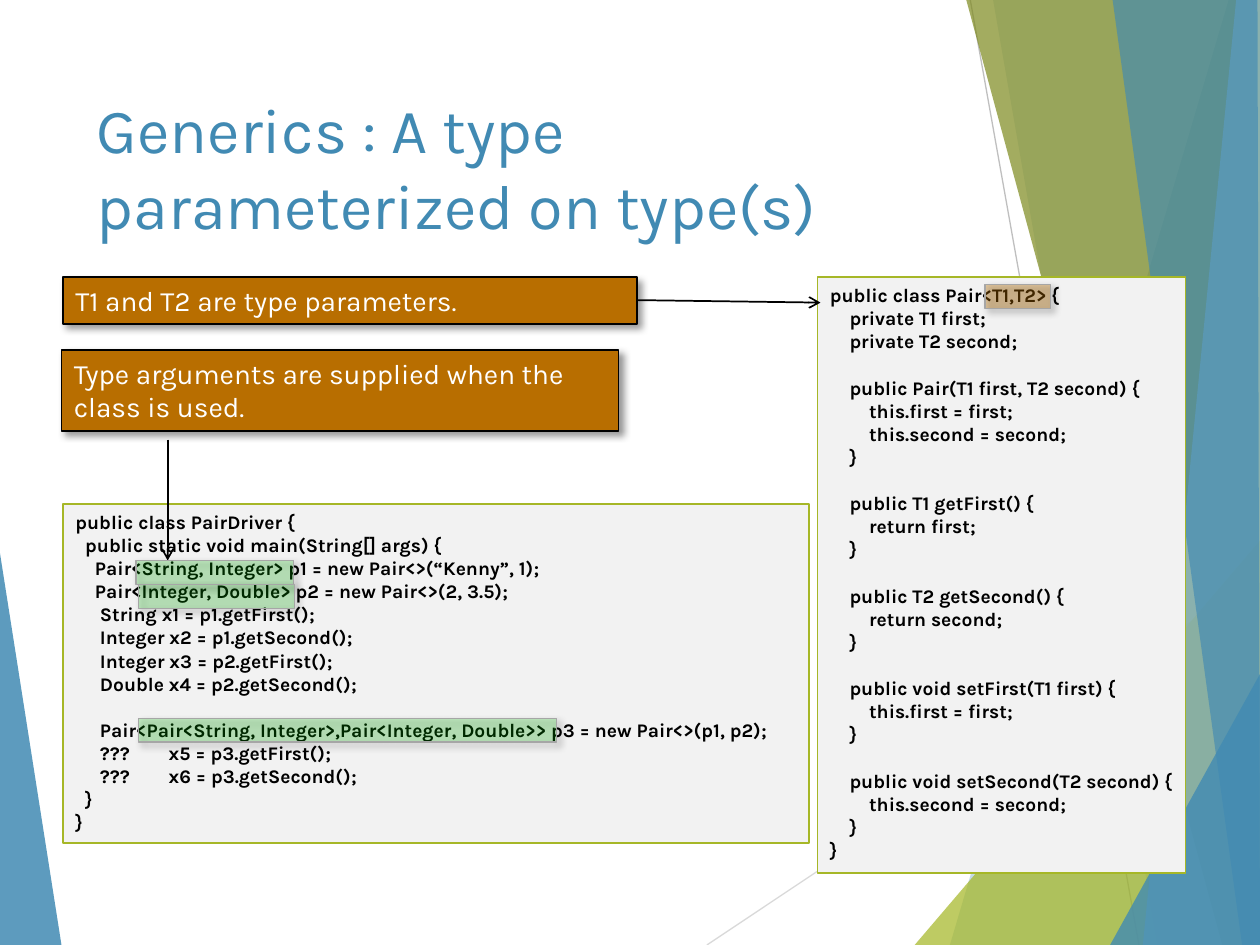
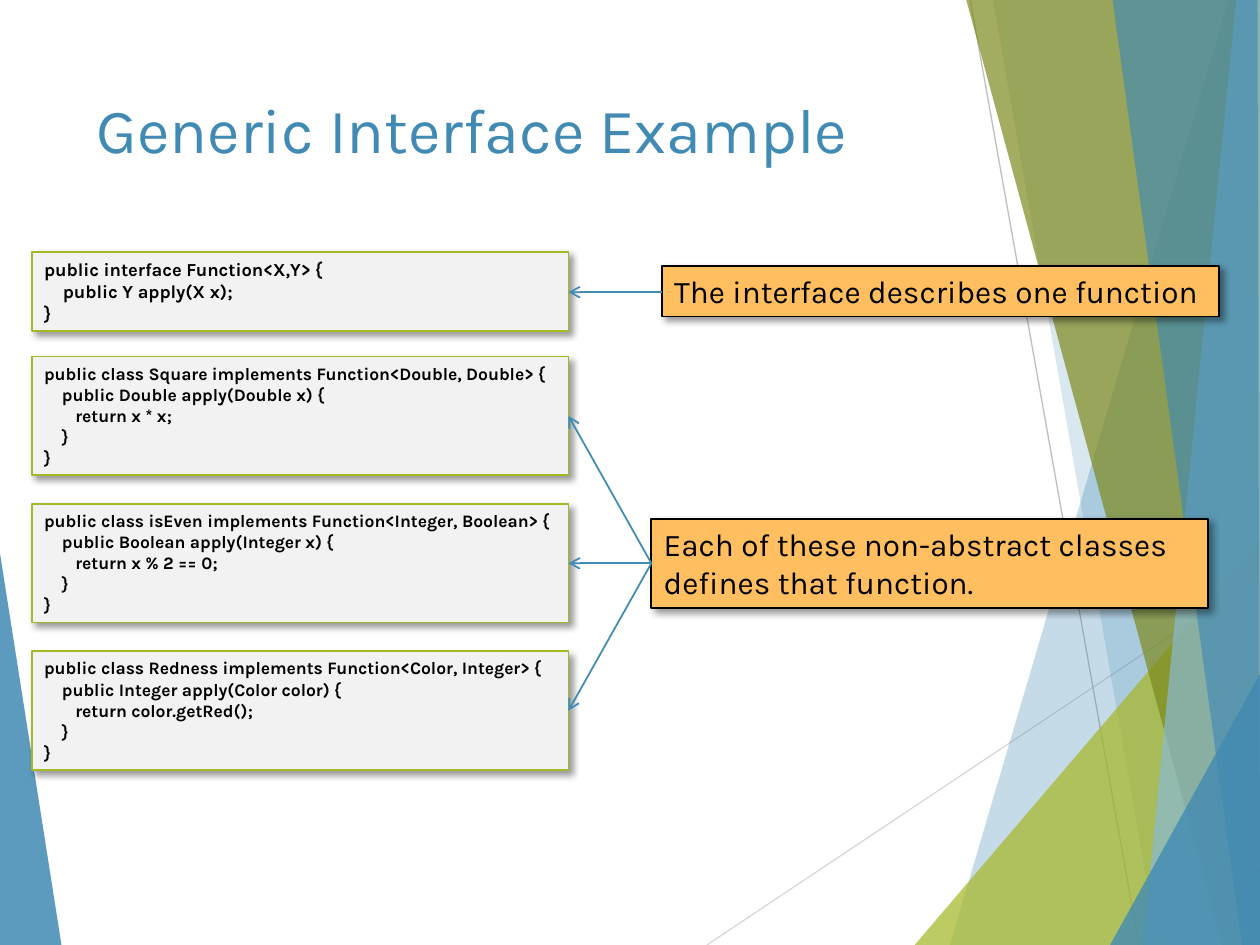
from lxml.etree import SubElement
from pptx import Presentation
from pptx.dml.color import RGBColor
from pptx.enum.shapes import MSO_CONNECTOR as Connector, MSO_SHAPE as Preset
from pptx.enum.text import MSO_ANCHOR as Anchor, PP_ALIGN as Align
from pptx.oxml.ns import qn
from pptx.util import Cm, Pt

FONT = "Karla"
BLUE, GREEN, OLIVE, SKY = "418AB3", "A6B727", "7D891D", "8ABAD4"
BLACK, WHITE, PANEL, GRAY = "000000", "FFFFFF", "F2F2F2", "A6A6A6"
BROWN, ORANGE, LIME = "B86E00", "FFBF61", "00CC00"
WIDTH, HEIGHT = 25.4, 19.05
TITLE_BOX = (1.7, 1.7, 17.63, 3.66)
SPACE_EM, LINE_EM, TAB_COLUMN = 0.255, 1.2, 19

TOP_RIGHT, BOTTOM_RIGHT = (WIDTH, 0), (WIDTH, HEIGHT)
RAYS = [
    ((14.25, HEIGHT), (WIDTH, 11.61), "D9D9D9"),
    ((19.56, 0), (22.96, HEIGHT), "BFBFBF"),
]
FACETS = [
    (BLUE, 85, [(0, 11.15), (1.24, HEIGHT), (0, HEIGHT)]),
    (BLUE, 30, [(24.77, 0), (19.15, HEIGHT), BOTTOM_RIGHT, TOP_RIGHT]),
    (BLUE, 20, [(20.02, 0), (23.34, HEIGHT), BOTTOM_RIGHT, TOP_RIGHT]),
    (GREEN, 72, [(18.44, HEIGHT), (WIDTH, 10.9), BOTTOM_RIGHT]),
    (OLIVE, 70, [(19.48, 0), (24.64, HEIGHT), BOTTOM_RIGHT, TOP_RIGHT]),
    (SKY, 70, [(24.92, 0), (23.04, HEIGHT), BOTTOM_RIGHT, TOP_RIGHT]),
    (BLUE, 65, [(22.43, 0), (25.04, HEIGHT), BOTTOM_RIGHT, (25.35, 0)]),
    (BLUE, 80, [(22.38, HEIGHT), (WIDTH, 13.59), BOTTOM_RIGHT]),
]

PAIR_CODE = """\
public class Pair<T1,T2> {
    private T1 first;
    private T2 second;

    public Pair(T1 first, T2 second) {
        this.first = first;
        this.second = second;
    }

    public T1 getFirst() {
        return first;
    }

    public T2 getSecond() {
        return second;
    }

    public void setFirst(T1 first) {
        this.first = first;
    }

    public void setSecond(T2 second) {
        this.second = second;
    }
}"""

DRIVER_CODE = """\
public class PairDriver {
  public static void main(String[] args) {
    Pair<String, Integer> p1 = new Pair<>(“Kenny”, 1);
    Pair<Integer, Double> p2 = new Pair<>(2, 3.5);
     String x1 = p1.getFirst();
     Integer x2 = p1.getSecond();
     Integer x3 = p2.getFirst();
     Double x4 = p2.getSecond();

     Pair<Pair<String, Integer>,Pair<Integer, Double>> p3 = new Pair<>(p1, p2);
     ???\tx5 = p3.getFirst();
     ???\tx6 = p3.getSecond();
  }
}"""

INTERFACE_CODE = """\
public interface Function<X,Y> {
    public Y apply(X x);
}"""

CLASS_CODES = [
    f"""\
public class {name} implements Function<{source}, {result}> {{
    public {result} apply({source} {argument}) {{
       return {value};
    }}
}}"""
    for name, source, result, argument, value in [
        ("Square", "Double", "Double", "x", "x * x"),
        ("isEven", "Integer", "Boolean", "x", "x % 2 == 0"),
        ("Redness", "Color", "Integer", "color", "color.getRed()"),
    ]
]
CLASS_TOP, CLASS_STEP, CLASS_HEIGHT = 7.19, 2.97, 2.39
PANEL_LEFT, PANEL_WIDTH = 0.64, 10.82
PANEL_RIGHT = PANEL_LEFT + PANEL_WIDTH
CLASS_TOPS = [CLASS_TOP + CLASS_STEP * row for row in range(len(CLASS_CODES))]
CLASS_MIDDLES = [top + CLASS_HEIGHT / 2 for top in CLASS_TOPS]

SLIDES = [
    {
        "title": "Generics : A type parameterized on type(s)",
        "panel_shadow": False,
        "panels": [
            ((16.48, 5.59, 7.42, 12.01), 11, PAIR_CODE),
            ((1.27, 10.16, 15.04, 6.83), 11, DRIVER_CODE),
        ],
        "callout_style": (BROWN, WHITE, 16),
        "callouts": [
            ((1.27, 5.59, 11.58, 0.94), "T1 and T2 are type parameters."),
            ((1.24, 7.06, 11.23, 1.63),
             "Type arguments are supplied when the class is used."),
        ],
        "arrow_color": BLACK,
        "arrows": [
            ((12.85, 6.05), (16.54, 6.1)),
            ((3.38, 8.86), (3.38, 11.3)),
        ],
        "highlights": [
            ((19.86, 5.74, 1.32, 0.48), BROWN, 35),
            ((2.74, 11.3, 3.18, 0.48), LIME, 20),
            ((2.79, 11.79, 3.15, 0.48), LIME, 20),
            ((2.79, 14.48, 8.43, 0.48), LIME, 20),
        ],
    },
    {
        "title": "Generic Interface Example",
        "panel_shadow": True,
        "panels": [
            ((PANEL_LEFT, 5.08, PANEL_WIDTH, 1.6), 10.5, INTERFACE_CODE),
            *[((PANEL_LEFT, top, PANEL_WIDTH, CLASS_HEIGHT), 10, code)
              for top, code in zip(CLASS_TOPS, CLASS_CODES)],
        ],
        "callout_style": (ORANGE, BLACK, 18),
        "callouts": [
            ((13.34, 5.36, 11.23, 1.02), "The interface describes one function"),
            ((13.13, 10.46, 11.23, 1.8),
             "Each of these non-abstract classes defines that function."),
        ],
        "arrow_color": BLUE,
        "arrows": [
            ((13.34, 5.89), (PANEL_RIGHT, 5.89)),
            *[((13.13, CLASS_MIDDLES[1]), (PANEL_RIGHT, middle))
              for middle in CLASS_MIDDLES],
        ],
        "highlights": [],
    },
]


def lengths(values):
    return [Cm(value) for value in values]


def color(hex_code):
    return RGBColor.from_string(hex_code)


def set_all(target, values):
    for name, value in values.items():
        setattr(target, name, value)


def set_font(paragraph, size, hex_code, bold=False):
    set_all(paragraph.font, {"name": FONT, "size": Pt(size), "bold": bold})
    paragraph.font.color.rgb = color(hex_code)


def fill_shape(shape, hex_code, opacity=100):
    shape.shadow.inherit = False
    shape.fill.solid()
    shape.fill.fore_color.rgb = color(hex_code)
    if opacity < 100:
        rgb = shape.element.spPr.find(f"{qn('a:solidFill')}/{qn('a:srgbClr')}")
        SubElement(rgb, qn("a:alpha"), val=str(opacity * 1000))


def add_shadow(shape):
    effects = shape.element.spPr.find(qn("a:effectLst"))
    outer = SubElement(effects, qn("a:outerShdw"), blurRad=str(Pt(4)),
                       dist=str(Pt(3)), dir="2700000", algn="tl", rotWithShape="0")
    rgb = SubElement(outer, qn("a:srgbClr"), val=BLACK)
    SubElement(rgb, qn("a:alpha"), val="40000")


def add_box(slide, box, fill, line, line_width=1, opacity=100, shadow=True):
    shape = slide.shapes.add_shape(Preset.RECTANGLE, *lengths(box))
    fill_shape(shape, fill, opacity)
    shape.line.color.rgb = color(line)
    shape.line.width = Pt(line_width)
    if shadow:
        add_shadow(shape)
    set_all(shape.text_frame, {"word_wrap": True, "vertical_anchor": Anchor.TOP})
    return shape


def add_line(slide, start, end, hex_code, width, arrow=False):
    connector = slide.shapes.add_connector(Connector.STRAIGHT, *lengths(start + end))
    connector.line.color.rgb = color(hex_code)
    connector.line.width = Pt(width)
    if arrow:
        SubElement(connector.line._get_or_add_ln(), qn("a:tailEnd"), type="arrow")
    SubElement(connector.element.spPr, qn("a:effectLst"))
    return connector


def add_facet(slide, hex_code, opacity, corners):
    start, *others = [lengths(corner) for corner in corners]
    builder = slide.shapes.build_freeform(*start)
    builder.add_line_segments(others, close=True)
    shape = builder.convert_to_shape()
    fill_shape(shape, hex_code, opacity)
    shape.line.fill.background()
    return shape


def decorate_layout(layout, slide):
    shapes = [add_line(slide, *ray, 0.75) for ray in RAYS]
    shapes += [add_facet(slide, *facet) for facet in FACETS]
    for number, shape in enumerate(shapes, 100):
        shape.element.xpath(".//p:cNvPr")[0].set("id", str(number))
        layout.shapes.element.append(shape.element)


def write_code(frame, code, size):
    frame.margin_right = 0
    space_width = size * SPACE_EM
    blank_before = False
    paragraph = frame.paragraphs[0]
    for line in code.splitlines():
        text = line.lstrip(" ")
        if not text:
            blank_before = True
            continue
        if paragraph.text:
            paragraph = frame.add_paragraph()
        paragraph.text = text
        paragraph.alignment = Align.LEFT
        set_font(paragraph, size, BLACK, bold=True)
        if blank_before:
            paragraph.space_before = Pt(size * LINE_EM)
        blank_before = False
        first = Pt((len(line) - len(text)) * space_width)
        left = Pt(TAB_COLUMN * space_width) if "\t" in text else first
        properties = paragraph._p.get_or_add_pPr()
        properties.set("marL", str(left))
        properties.set("indent", str(first - left))


def write_title(title, text):
    names = ("left", "top", "width", "height")
    set_all(title, dict(zip(names, lengths(TITLE_BOX))))
    title.text = text
    set_all(title.text_frame, {"word_wrap": True, "vertical_anchor": Anchor.TOP})
    paragraph = title.text_frame.paragraphs[0]
    paragraph.alignment = Align.LEFT
    set_font(paragraph, 36, BLUE)


def fill_slide(slide, content):
    write_title(slide.shapes.title, content["title"])
    for box, size, code in content["panels"]:
        panel = add_box(slide, box, PANEL, GREEN, shadow=content["panel_shadow"])
        write_code(panel.text_frame, code, size)
    fill, text_color, size = content["callout_style"]
    for box, text in content["callouts"]:
        paragraph = add_box(slide, box, fill, BLACK).text_frame.paragraphs[0]
        paragraph.text = text
        paragraph.alignment = Align.LEFT
        set_font(paragraph, size, text_color)
    for start, end in content["arrows"]:
        add_line(slide, start, end, content["arrow_color"], 1, arrow=True)
    for box, hex_code, opacity in content["highlights"]:
        add_box(slide, box, hex_code, GRAY, 0.75, opacity)


def main():
    presentation = Presentation()
    set_all(presentation, {"slide_width": Cm(WIDTH), "slide_height": Cm(HEIGHT)})
    layout = presentation.slide_layouts.get_by_name("Title Only")
    slides = [presentation.slides.add_slide(layout) for _ in SLIDES]
    decorate_layout(layout, slides[0])
    for slide, content in zip(slides, SLIDES):
        fill_slide(slide, content)
    presentation.save("out.pptx")


if __name__ == "__main__":
    main()
